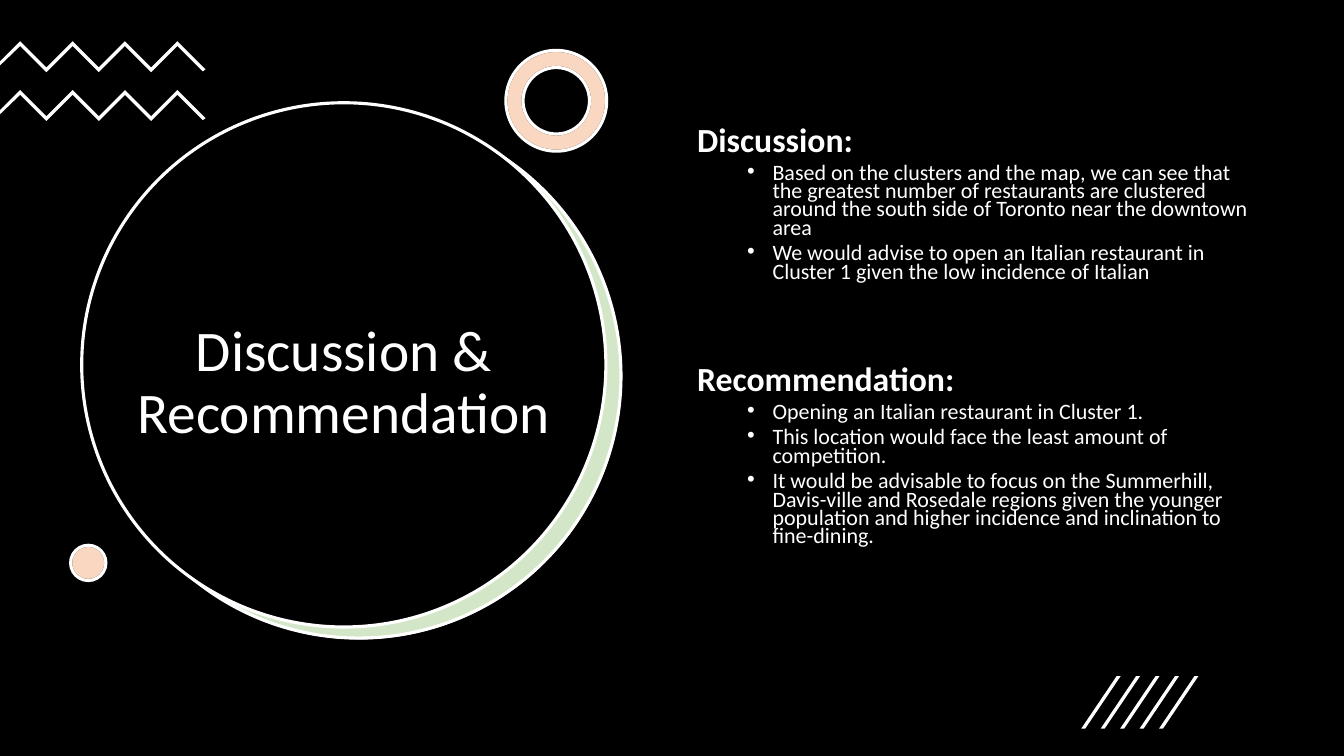
from lxml import etree
from pptx import Presentation
from pptx.dml.color import RGBColor
from pptx.enum.shapes import MSO_SHAPE as SHAPE
from pptx.enum.text import MSO_ANCHOR as ANCHOR, PP_ALIGN as ALIGN
from pptx.oxml.ns import qn
from pptx.util import Cm, Pt

WHITE, BLACK, GREEN, ORANGE = "FFFFFF", "000000", "70AD47", "ED7D31"
FONT = "Calibri"
TITLE = "Discussion & Recommendation"
SECTIONS = [
    ("Discussion:", [
        "Based on the clusters and the map, we can see that the greatest number of "
        "restaurants are clustered around the south side of Toronto near the downtown area",
        "We would advise to open an Italian restaurant in Cluster 1 given the low "
        "incidence of Italian",
    ]),
    ("Recommendation:", [
        "Opening an Italian restaurant in Cluster 1.",
        "This location would face the least amount of competition.",
        "It would be advisable to focus on the Summerhill, Davis-ville and Rosedale regions "
        "given the younger population and higher incidence and inclination to fine-dining.",
    ]),
]
SECTION_GAPS = [10, 61.6]
DISCS = [
    (SHAPE.OVAL, 2.46, 2.9, 13.21, WHITE, 100, None),
    (SHAPE.OVAL, 2.44, 2.87, 13.21, GREEN, 30, WHITE),
    (SHAPE.OVAL, 2.06, 2.59, 13.21, BLACK, 100, WHITE),
]
ACCENTS = [(SHAPE.DONUT, 12.75, 1.27, 2.54), (SHAPE.OVAL, 1.78, 13.74, 0.89)]
for accent in ACCENTS:
    DISCS += [accent + (WHITE, 100, BLACK), accent + (ORANGE, 30, WHITE)]
ZIGZAG_TOPS = [1.04, 2.27]
ZIGZAG_LEFT, ZIGZAG_STEP, ZIGZAG_THICK, ZIGZAG_TURNS = 0.51, 0.66, 0.12, 7
SLASH_LEFT, SLASH_TOP, SLASH_STEP, SLASH_COUNT = 27.25, 17.04, 0.49, 5
SLASH_RUN, SLASH_RISE, SLASH_THICK = 0.89, 1.32, 0.1


def color(value):
    return RGBColor.from_string(value)


def paint(sp, fill, alpha=100, line=None):
    sp.shadow.inherit = False
    sp.fill.solid()
    sp.fill.fore_color.rgb = color(fill)
    if alpha < 100:
        clr = sp.fill._xPr.find(qn("a:solidFill"))[0]
        etree.SubElement(clr, qn("a:alpha")).set("val", str(alpha * 1000))
    if line:
        sp.line.color.rgb = color(line)
        sp.line.width = Pt(2.25)
    else:
        sp.line.fill.background()


def add_disc(s, kind, left, top, size, fill, alpha, line):
    sp = s.shapes.add_shape(kind, Cm(left), Cm(top), Cm(size), Cm(size))
    if kind == SHAPE.DONUT:
        sp.adjustments[0] = 0.17
    paint(sp, fill, alpha, line)


def add_outline(s, points):
    start, *rest = [(Cm(x), Cm(y)) for x, y in points]
    builder = s.shapes.build_freeform(*start)
    builder.add_line_segments(rest)
    paint(builder.convert_to_shape(), WHITE)


def zigzag(top):
    turns = [(ZIGZAG_LEFT + i * ZIGZAG_STEP, top + i % 2 * ZIGZAG_STEP)
             for i in range(ZIGZAG_TURNS)]
    under = [(x, y + ZIGZAG_THICK) for x, y in reversed(turns)]
    right = [(5.18, top + 0.71), (5.11, top + 0.76)]
    left = [(0, top + 0.61), (0, top + 0.51)]
    return turns + right + under + left


def slash(left):
    bottom = SLASH_TOP + SLASH_RISE
    return [(left + SLASH_THICK, bottom), (left, bottom),
            (left + SLASH_RUN, SLASH_TOP), (left + SLASH_RUN + SLASH_THICK, SLASH_TOP)]


def add_box(s, left, top, width, height, anchor):
    tf = s.shapes.add_textbox(Cm(left), Cm(top), Cm(width), Cm(height)).text_frame
    tf.word_wrap = True
    tf.vertical_anchor = anchor
    return tf


def write(tf, text, size, bold=False, align=ALIGN.LEFT, spacing=0.7, before=0, bullet=False):
    p = tf.paragraphs[0] if not tf.text else tf.add_paragraph()
    p.alignment, p.line_spacing, p.space_before = align, spacing, Pt(before)
    if bullet:
        p.level = 1
        pPr = p._p.get_or_add_pPr()
        pPr.set("marL", str(Cm(1.9)))
        pPr.set("indent", str(-Cm(0.64)))
        etree.SubElement(pPr, qn("a:buFont")).set("typeface", "Arial")
        etree.SubElement(pPr, qn("a:buChar")).set("char", "•")
    r = p.add_run()
    r.text = text
    r.font.name, r.font.size, r.font.bold = FONT, Pt(size), bold
    r.font.color.rgb = color(WHITE)


def main():
    prs = Presentation()
    prs.slide_width, prs.slide_height = Cm(33.87), Cm(19.05)
    s = prs.slides.add_slide(prs.slide_layouts[6])
    s.background.fill.solid()
    s.background.fill.fore_color.rgb = color(BLACK)

    for disc in DISCS:
        add_disc(s, *disc)
    for top in ZIGZAG_TOPS:
        add_outline(s, zigzag(top))
    for i in range(SLASH_COUNT):
        add_outline(s, slash(SLASH_LEFT + i * SLASH_STEP))

    title = add_box(s, 3.07, 5.21, 11.2, 8.94, ANCHOR.MIDDLE)
    write(title, TITLE, 41, align=ALIGN.CENTER, spacing=0.9)

    body = add_box(s, 17.32, 3.15, 14.5, 12.09, ANCHOR.TOP)
    for (heading, bullets), gap in zip(SECTIONS, SECTION_GAPS):
        write(body, heading, 24.1, bold=True, before=gap)
        for text in bullets:
            write(body, text, 15.7, before=5, bullet=True)

    prs.save("out.pptx")


if __name__ == "__main__":
    main()
